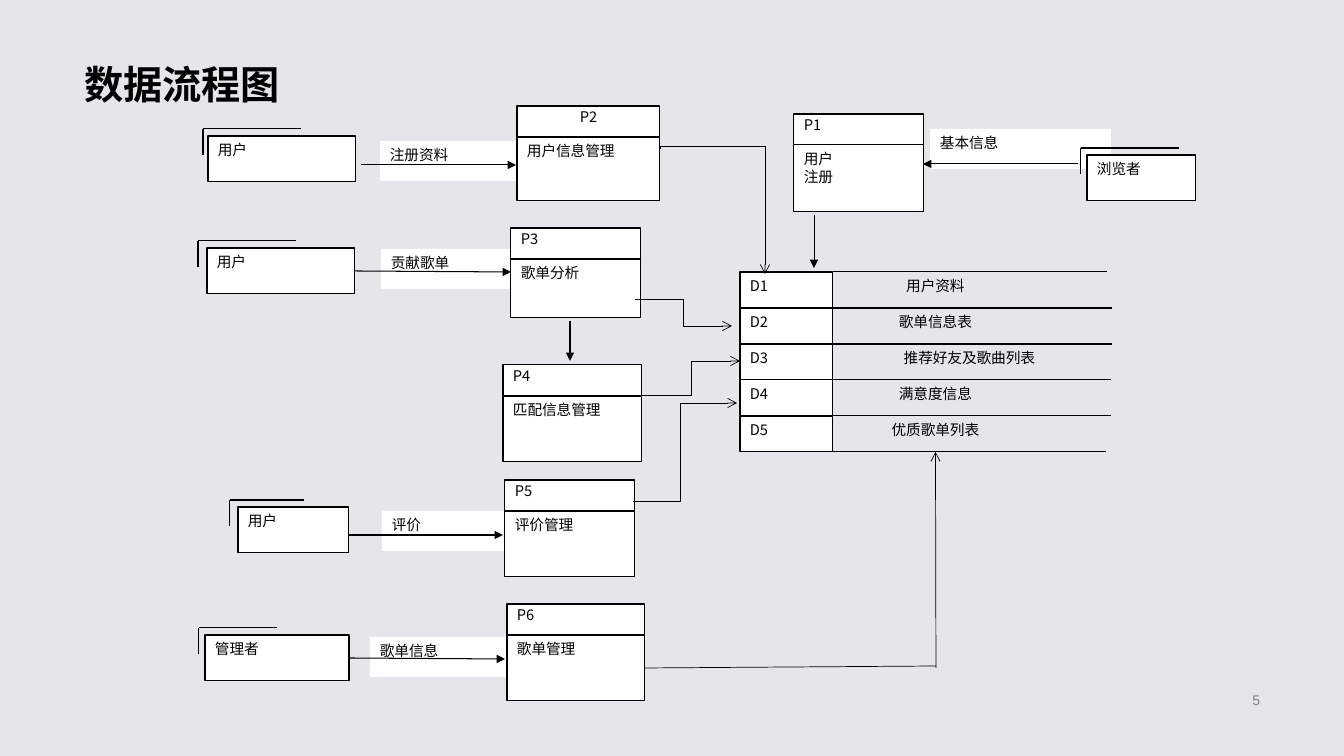
from lxml.etree import SubElement
from pptx import Presentation
from pptx.dml.color import RGBColor
from pptx.enum.shapes import MSO_CONNECTOR as Link, MSO_SHAPE as Shape
from pptx.enum.text import MSO_ANCHOR as Anchor, PP_ALIGN as Align
from pptx.oxml.ns import qn
from pptx.util import Emu, Pt

SCALE = 12192000 / 1344
COLORS = {"page": "E4E6EA", "box": "FFFFFF", "ink": "000000", "number": "808080"}
CJK = "Noto Sans CJK SC"
NAME_FONT = {"name": "Calibri", "size": Pt(10.5)}
CODE_FONT = {"name": CJK, "size": Pt(10.5)}
TITLE_FONT = {"name": "Noto Sans CJK JP", "size": Pt(28), "bold": True}
NUMBER_FONT = {"name": "Arial", "size": Pt(10)}
HEADER_HEIGHT = 31
BRACKET_HEIGHT = 26
STORE_LEFT, STORE_TOP, STORE_PITCH, CODE_WIDTH = 740, 272, 36, 93

# text, left, top, width
LABELS = [
    ("注册资料", 380, 141, 172),
    ("贡献歌单", 381, 249, 172),
    ("评价", 382, 511, 172),
    ("歌单信息", 370, 637, 169),
    ("基本信息", 930, 129, 181),
]
# text, left, top, width, bracket left, bracket width
ENTITIES = {
    "registrant": ("用户", 208, 136, 148, 203, 98),
    "contributor": ("用户", 207, 248, 148, 198, 98),
    "reviewer": ("用户", 238, 507, 111, 230, 74),
    "manager": ("管理者", 205, 635, 144, 199, 78),
    "visitor": ("浏览者", 1087, 155, 109, 1081, 98),
}
# name, left, top, width, body height
PROCESSES = {
    "P2": ("用户信息管理", 517, 106, 143, 64),
    "P1": ("用户\n注册", 794, 114, 130, 67),
    "P3": ("歌单分析", 511, 228, 130, 59),
    "P4": ("匹配信息管理", 503, 365, 139, 66),
    "P5": ("评价管理", 505, 480, 130, 66),
    "P6": ("歌单管理", 507, 604, 138, 66),
}
# name, name width, end of the rule above
STORES = {
    "D1": ("用户资料", 205, 1107),
    "D2": ("歌单信息表", 205, 1112),
    "D3": ("推荐好友及歌曲列表", 273, 1112),
    "D4": ("满意度信息", 205, 1111),
    "D5": ("优质歌单列表", 205, 1111),
}


def px(*lengths):
    return [Emu(round(length * SCALE)) for length in lengths]


def color(name):
    return RGBColor.from_string(COLORS[name])


def write(frame, text, font, align=Align.JUSTIFY, ink="ink", spacing=None):
    frame.word_wrap = True
    frame.text = text
    for para in frame.paragraphs:
        para.alignment = align
        para.line_spacing = spacing
        for span in para.runs:
            for key, value in font.items():
                setattr(span.font, key, value)
            span.font.color.rgb = color(ink)
            east = font["name"] if "CJK" in font["name"] else CJK
            SubElement(span.font._element, qn("a:ea"), typeface=east)


def add_box(page, place, text, font=NAME_FONT, outlined=True, **layout):
    box = page.shapes.add_shape(Shape.RECTANGLE, *px(*place))
    box.shadow.inherit = False
    box.fill.solid()
    box.fill.fore_color.rgb = color("box")
    if outlined:
        box.line.color.rgb = color("ink")
        box.line.width = Pt(0.75)
    else:
        box.line.fill.background()
    box.text_frame.vertical_anchor = Anchor.TOP
    write(box.text_frame, text, font, **layout)
    return box


def add_text(page, place, text, font, **layout):
    box = page.shapes.add_textbox(*px(*place))
    write(box.text_frame, text, font, **layout)
    return box


def add_line(page, start, end, head=None, width=0.75, kind=Link.STRAIGHT):
    line = page.shapes.add_connector(kind, *px(*start, *end))
    line.line.color.rgb = color("ink")
    line.line.width = Pt(width)
    if head:
        SubElement(line.line._get_or_add_ln(), qn("a:tailEnd"), type=head)
    SubElement(line._element.spPr, qn("a:effectLst"))
    return line


def add_elbow(page, start, end, bend=50000, turn=0):
    """Draw a bent arrow; bend is in 1/100000 of its run, turn in degrees."""
    elbow = add_line(page, start, end, "arrow", 0.5, Link.ELBOW)
    properties = elbow._element.spPr
    properties.find(qn("a:xfrm")).set("rot", str(turn * 60000))
    guides = properties.find(qn("a:prstGeom")).find(qn("a:avLst"))
    SubElement(guides, qn("a:gd"), name="adj1", fmla=f"val {bend}")


def add_entity(page, text, left, top, width, corner, reach):
    box = add_box(page, (left, top, width, 46), text)
    edge = top - 7
    for end in ((corner, edge + BRACKET_HEIGHT), (corner + reach, edge)):
        add_line(page, (corner, edge), end)
    return box


def add_process(page, code, name, left, top, width, height):
    align = Align.CENTER if code == "P2" else Align.LEFT
    add_box(page, (left, top, width, HEADER_HEIGHT), code, CODE_FONT,
            align=align, spacing=Pt(10))
    return add_box(page, (left, top + HEADER_HEIGHT, width, height), name,
                   align=Align.LEFT)


def add_store(page, row, code, name, width, rule_end):
    top = STORE_TOP + row * STORE_PITCH
    left = STORE_LEFT + CODE_WIDTH
    add_box(page, (STORE_LEFT, top, CODE_WIDTH, STORE_PITCH), code, CODE_FONT)
    box = add_text(page, (left, top, width, STORE_PITCH), name, NAME_FONT,
                   align=Align.CENTER)
    box.text_frame.margin_left = box.text_frame.margin_right = 0
    add_line(page, (left, top), (rule_end, top))
    return box


def add_title(page, text):
    title = page.shapes.title
    title.left, title.top, title.width, title.height = px(74, 0, 1197, 113)
    title.text_frame.vertical_anchor = Anchor.BOTTOM
    write(title.text_frame, text, TITLE_FONT, Align.LEFT, spacing=0.9)


def main():
    deck = Presentation()
    deck.slide_width, deck.slide_height = px(1344, 756)
    page = deck.slides.add_slide(deck.slide_layouts[5])
    page.background.fill.solid()
    page.background.fill.fore_color.rgb = color("page")
    add_title(page, "数据流程图")
    number = add_text(page, (950, 688, 320, 23), "5", NUMBER_FONT,
                      align=Align.RIGHT, ink="number")
    number.text_frame.vertical_anchor = Anchor.MIDDLE

    for text, left, top, width in LABELS:
        add_box(page, (left, top, width, 40), text, outlined=False)
    stores = {code: add_store(page, row, code, *store)
              for row, (code, store) in enumerate(STORES.items())}
    bottom = STORE_TOP + len(STORES) * STORE_PITCH
    add_line(page, (STORE_LEFT + CODE_WIDTH, bottom), (1106, bottom))
    processes = {code: add_process(page, code, *process)
                 for code, process in PROCESSES.items()}
    entities = {key: add_entity(page, *entity)
                for key, entity in ENTITIES.items()}

    add_line(page, (361, 165), (516, 165), "triangle")
    add_line(page, (349, 535), (503, 535), "triangle")
    add_line(page, (1078, 164), (923, 164), "triangle")
    add_line(page, (570, 321), (570, 361), "triangle")
    add_line(page, (814, 215), (814, 268), "triangle", 0.5)
    contribution = add_line(page, (355, 271), (511, 272), "triangle")
    contribution.begin_connect(entities["contributor"], 3)
    song_data = add_line(page, (349, 658), (505, 659), "triangle")
    song_data.begin_connect(entities["manager"], 3)
    outflow = add_line(page, (645, 668), (936, 666), width=0.5)
    outflow.begin_connect(processes["P6"], 3)
    inflow = add_line(page, (936, 668), (935, bottom), "arrow", 0.5)
    inflow.end_connect(stores["D5"], 2)

    add_elbow(page, (642, 395), (740, 361))
    add_elbow(page, (633, 501), (737, 403), bend=45500)
    add_elbow(page, (635, 299), (732, 326))
    add_elbow(page, (775, 159), (650, 264), bend=-2300, turn=270)
    deck.save("out.pptx")


if __name__ == "__main__":
    main()
